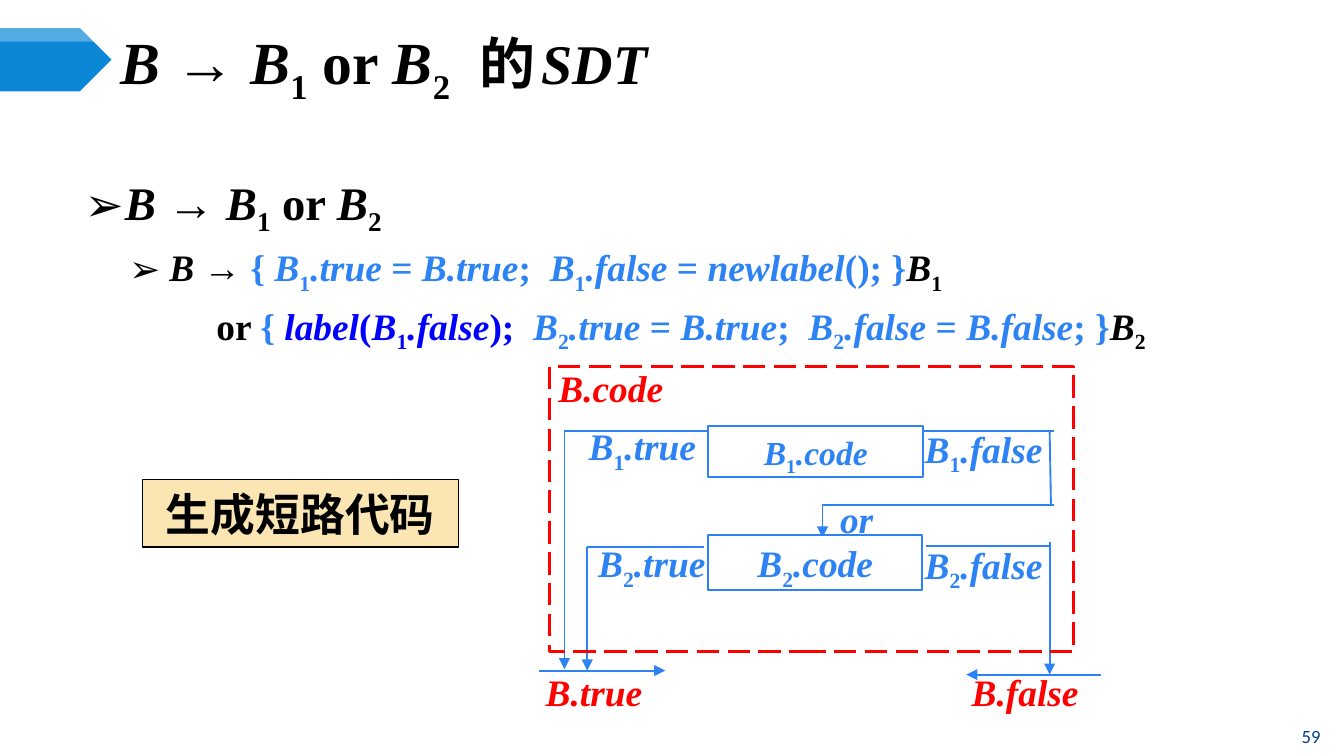
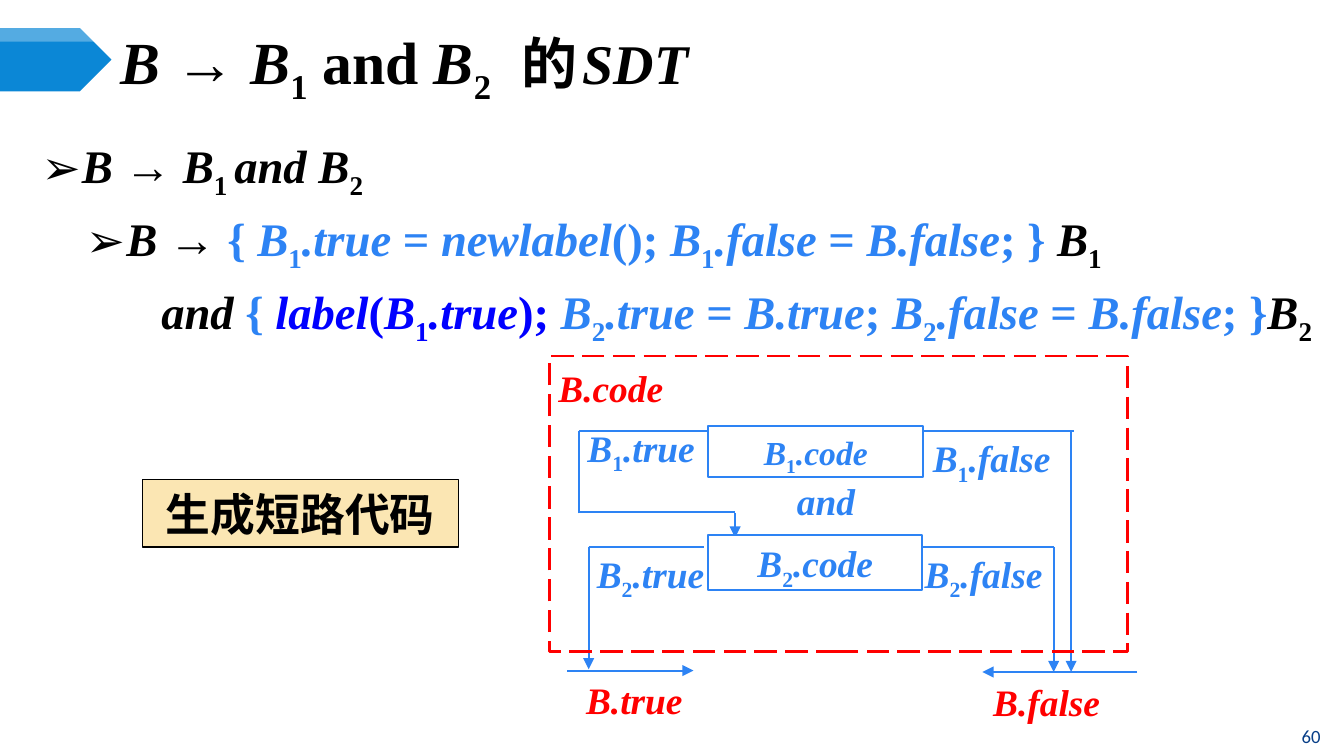
"""Build two slides on short-circuit translation schemes for boolean or / and."""
from dataclasses import dataclass, replace
from typing import Any, NamedTuple, Optional

import pptx
import pptx.dml.color
import pptx.enum.dml
import pptx.enum.shapes
import pptx.enum.text
import pptx.oxml.ns
import pptx.util
from lxml import etree

Inches = pptx.util.Inches
Pt = pptx.util.Pt
qn = pptx.oxml.ns.qn
PP_ALIGN = pptx.enum.text.PP_ALIGN
MSO_ANCHOR = pptx.enum.text.MSO_ANCHOR
MSO_SHAPE = pptx.enum.shapes.MSO_SHAPE


@dataclass(frozen=True)
class Theme:
    ink: str = "000000"
    accent: str = "2D83F4"
    deep: str = "0000FF"
    alert: str = "FF0000"
    white: str = "FFFFFF"
    plate: str = "0B87D6"
    note: str = "FBE6B3"
    page: str = "073E87"
    serif: str = "Times New Roman"
    sans: str = "Arial"
    footer: str = "Calibri"
    cjk: str = "Noto Sans CJK SC"
    title_size: int = 32
    title_small: int = 30
    rule_size: int = 25
    rule_small: int = 20
    note_size: int = 24
    label_size: int = 20
    box_size: int = 18
    page_size: int = 10


THEME = Theme()


@dataclass(frozen=True)
class Style:
    size: int
    color: str = THEME.ink
    font: str = THEME.serif
    bold: bool = True
    cjk: bool = False
    spacing: int = 0


LABEL = Style(THEME.label_size, THEME.accent)
ALERT = replace(LABEL, color=THEME.alert)
COLOR_MARKS = {"^": THEME.accent, "~": THEME.deep, "@": THEME.ink}


class Box(NamedTuple):
    left: float
    top: float
    width: float
    height: float


class Label(NamedTuple):
    text: str
    left: float
    top: float
    width: float
    style: Style = LABEL


class Wire(NamedTuple):
    x1: float
    y1: float
    x2: float
    y2: float
    arrow: bool = False


class Rule(NamedTuple):
    text: str
    size: int
    left: float
    bullet: bool = True


class Page(NamedTuple):
    number: int
    operator: str
    body: Box
    rules: list[Rule]
    frame: Box
    labels: list[Label]
    wires: list[Wire]


def rgb(color: str) -> pptx.dml.color.RGBColor:
    return pptx.dml.color.RGBColor.from_string(color)


def add_run(p: Any, text: str, style: Style, italic: bool = False, sub: bool = False) -> None:
    r = p.add_run()
    r.text = text
    font = r.font
    font.name, font.size = style.font, Pt(style.size)
    font.bold, font.italic = style.bold, italic and not sub
    font.color.rgb = rgb(style.color)
    props = r._r.get_or_add_rPr()
    if sub:
        props.set("baseline", "-25000")
    if style.spacing:
        props.set("spc", str(style.spacing * 100))
    if style.cjk:
        etree.SubElement(props, qn("a:ea")).set("typeface", THEME.cjk)


def add_rich(p: Any, text: str, style: Style) -> None:
    """Add runs; * toggles italic, _ subscript, | is a double space, ^ ~ @ set the colour."""
    italic = sub = False
    chunk = ""
    for char in text + "@":
        if char not in "*_|^~@":
            chunk += char
            continue
        if chunk:
            add_run(p, chunk, style, italic, sub)
            chunk = ""
        if char == "*":
            italic = not italic
        elif char == "_":
            sub = not sub
        elif char == "|":
            add_run(p, " ", replace(style, spacing=round(style.size / 4)))
        else:
            style = replace(style, color=COLOR_MARKS[char])


def set_frame(sp: Any, side: float = 0.07, top: float = 0.04,
              anchor: Any = MSO_ANCHOR.TOP, wrap: bool = True) -> Any:
    tf = sp.text_frame
    tf.word_wrap, tf.vertical_anchor = wrap, anchor
    tf.margin_left = tf.margin_right = Inches(side)
    tf.margin_top = tf.margin_bottom = Inches(top)
    return tf


def add_text(slide: Any, box: Box, **frame: Any) -> Any:
    return set_frame(slide.shapes.add_textbox(*map(Inches, box)), **frame)


def add_block(slide: Any, box: Box, fill: Optional[str] = None, line: Optional[str] = None,
              width: float = 1, kind: Any = MSO_SHAPE.RECTANGLE) -> Any:
    sp = slide.shapes.add_shape(kind, *map(Inches, box))
    sp.shadow.inherit = False
    if fill:
        sp.fill.solid()
        sp.fill.fore_color.rgb = rgb(fill)
    else:
        sp.fill.background()
    if line:
        sp.line.color.rgb = rgb(line)
        sp.line.width = Pt(width)
    else:
        sp.line.fill.background()
    return sp


def add_wire(slide: Any, wire: Wire) -> None:
    ends = map(Inches, wire[:4])
    line = slide.shapes.add_connector(pptx.enum.shapes.MSO_CONNECTOR.STRAIGHT, *ends)
    line.line.color.rgb = rgb(THEME.accent)
    line.line.width = Pt(1)
    if wire.arrow:
        etree.SubElement(line.line._get_or_add_ln(), qn("a:tailEnd")).set("type", "triangle")
    etree.SubElement(line._element.spPr, qn("a:effectLst"))


def add_rules(slide: Any, box: Box, rules: list[Rule]) -> None:
    tf = add_text(slide, box)
    for i, rule in enumerate(rules):
        p = tf.add_paragraph() if i else tf.paragraphs[0]
        if i:
            p.space_before = Pt(rule.size * 0.2)
        props = p._p.get_or_add_pPr()
        props.set("marL", str(Inches(rule.left)))
        props.set("indent", str(Inches(-0.3 if rule.bullet else 0)))
        if rule.bullet:
            etree.SubElement(props, qn("a:buFont")).set("typeface", THEME.sans)
            etree.SubElement(props, qn("a:buChar")).set("char", "➢")
        else:
            etree.SubElement(props, qn("a:buNone"))
        add_rich(p, rule.text, Style(rule.size))


def add_centred(sp: Any, text: str, style: Style, **frame: Any) -> None:
    p = set_frame(sp, **frame).paragraphs[0]
    p.alignment = PP_ALIGN.CENTER
    add_rich(p, text, style)


def add_heading(slide: Any, operator: str) -> None:
    add_block(slide, Box(0, 0.21, 0.83, 0.47), THEME.plate, kind=MSO_SHAPE.PENTAGON)
    gloss = add_block(slide, Box(0, 0.21, 0.83, 0.1), THEME.white, kind=MSO_SHAPE.PENTAGON)
    color = gloss._element.spPr.find(qn("a:solidFill"))[0]
    etree.SubElement(color, qn("a:alpha")).set("val", "30000")
    p = add_text(slide, Box(0.83, 0.29, 8.67, 0.39), anchor=MSO_ANCHOR.MIDDLE).paragraphs[0]
    small = Style(THEME.title_small)
    add_rich(p, f"*B* → *B*_1_ {operator} *B*_2_|", Style(THEME.title_size))
    add_rich(p, "的", replace(small, font=THEME.cjk, cjk=True, spacing=3))
    add_rich(p, "*SDT*", small)


def add_diagram(slide: Any, page: Page) -> None:
    for wire in page.wires:
        add_wire(slide, wire)
    frame = add_block(slide, page.frame, line=THEME.alert, width=1.5)
    frame.line.dash_style = pptx.enum.dml.MSO_LINE.LONG_DASH
    for label in page.labels:
        box = Box(label.left, label.top, label.width, 0.41)
        add_rich(add_text(slide, box).paragraphs[0], label.text, label.style)
    small = replace(LABEL, size=THEME.box_size)
    for text, box, style in (("*B_1_.code*", Box(5.27, 3.17, 1.6, 0.38), small),
                             ("*B_2_.code*", Box(5.27, 3.98, 1.59, 0.41), LABEL)):
        add_centred(add_block(slide, box, THEME.white, THEME.accent), text, style)
    corner = slide.shapes.add_textbox(*map(Inches, Box(4.05, 2.67, 0.99, 0.44)))
    add_centred(corner, "*B.code*", ALERT, side=0.1, top=0.05, wrap=False)


def add_page(prs: Any, page: Page) -> None:
    slide = prs.slides.add_slide(prs.slide_layouts[6])
    add_heading(slide, page.operator)
    add_rules(slide, page.body, page.rules)
    add_diagram(slide, page)
    number = slide.shapes.add_textbox(*map(Inches, Box(9.53, 5.33, 0.45, 0.3)))
    add_centred(number, str(page.number), Style(THEME.page_size, THEME.page, THEME.footer, False),
                anchor=MSO_ANCHOR.MIDDLE)
    note = add_block(slide, Box(1.06, 3.57, 2.35, 0.5), THEME.note, THEME.ink, 0.75)
    add_centred(note, "生成短路代码", Style(THEME.note_size, font=THEME.sans, cjk=True),
                side=0.1, top=0.05)


PAGES = [
    Page(
        59, "or", Box(0.56, 1.25, 8.61, 3.53),
        [Rule("*B* → *B*_1_ or *B*_2_", THEME.rule_size, 0.3),
         Rule("*B* → ^{ *B_1_.true* = *B.true*;|*B_1_.false* = *newlabel*(); }@*B_1_*",
              THEME.rule_small, 0.63),
         Rule("or ^{ ~*label*(*B_1_.false*);|^*B_2_.true* = *B.true*;|"
              "*B_2_.false* = *B.false*; }@*B_2_*", THEME.rule_small, 0.98, False)],
        Box(4.09, 2.73, 3.9, 2.12),
        [Label("*B.false*", 7.16, 4.94, 1.3, ALERT), Label("*B.true*", 3.99, 4.94, 1.12, ALERT),
         Label("*B_1_.false*", 6.81, 3.13, 1.28), Label("*B_2_.false*", 6.81, 3.99, 1.42),
         Label("*B_1_.true*", 4.31, 3.11, 1.05), Label("*B_2_.true*", 4.38, 3.98, 1.29),
         Label("*or*", 6.18, 3.65, 0.41)],
        [Wire(4.2, 3.21, 5.39, 3.21), Wire(4.2, 3.21, 4.2, 4.98, True),
         Wire(6.83, 3.21, 7.84, 3.21), Wire(7.82, 3.76, 7.81, 3.21),
         Wire(7.84, 3.76, 6.12, 3.76), Wire(6.12, 3.76, 6.12, 4, True),
         Wire(4.37, 4.07, 5.24, 4.07), Wire(4.37, 4.07, 4.37, 4.99, True),
         Wire(6.89, 4.06, 7.81, 4.06), Wire(7.81, 4.03, 7.81, 5.02, True),
         Wire(4.01, 4.99, 4.95, 4.99, True), Wire(8.19, 5.02, 7.19, 5.02, True)],
    ),
    Page(
        60, "and", Box(0.24, 0.98, 9.76, 3.53),
        [Rule("*B* → *B*_1 _*and B*_2_", THEME.rule_size, 0.3),
         Rule("*B* → ^{ *B_1_.true* = *newlabel*(); *B_1_.false* = *B.false*; } @*B_1_*",
              THEME.rule_size, 0.63),
         Rule("*and* ^{ ~*label*(*B_1_.true*); ^*B_2_.true* = *B.true*; "
              "*B_2_.false* = *B.false*; }@*B_2_*", THEME.rule_size, 0.89, False)],
        Box(4.09, 2.65, 4.3, 2.2),
        [Label("*B.false*", 7.32, 5.01, 1.3, ALERT), Label("*B.true*", 4.29, 5, 1.12, ALERT),
         Label("*B_1_.false*", 6.87, 3.2, 1.28), Label("*B_2_.false*", 6.81, 4.06, 1.42),
         Label("*B_1_.true*", 4.3, 3.12, 1.05), Label("*B_2_.true*", 4.37, 4.06, 1.01),
         Label("*and*", 5.86, 3.52, 0.62)],
        [Wire(4.31, 3.21, 5.27, 3.21), Wire(4.31, 3.82, 4.31, 3.21),
         Wire(5.47, 3.81, 4.31, 3.81), Wire(5.47, 3.82, 5.47, 4, True),
         Wire(6.83, 3.21, 7.99, 3.21), Wire(7.97, 3.21, 7.97, 5, True),
         Wire(4.38, 4.07, 5.24, 4.07), Wire(4.38, 4.07, 4.38, 4.98, True),
         Wire(6.87, 4.07, 7.84, 4.07), Wire(7.84, 4.07, 7.84, 5, True),
         Wire(4.22, 4.99, 5.16, 4.99, True), Wire(8.46, 5, 7.31, 5, True)],
    ),
]


def main() -> None:
    prs = pptx.Presentation()
    prs.slide_width = Inches(10)
    prs.slide_height = Inches(10 * 9 / 16)
    for page in PAGES:
        add_page(prs, page)
    prs.save("out.pptx")


if __name__ == "__main__":
    main()
